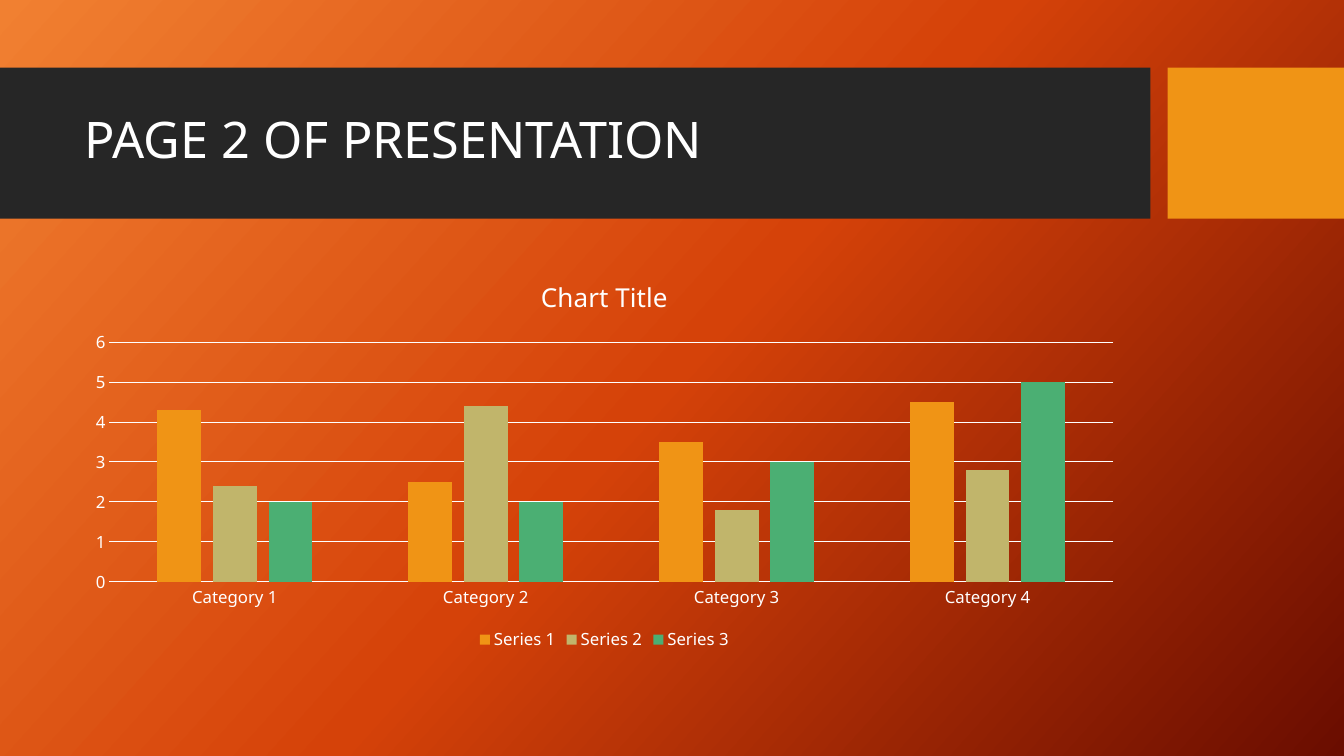
import copy

import pptx
import pptx.chart.data
import pptx.dml.color
import pptx.enum.chart
import pptx.enum.shapes
import pptx.enum.text
import pptx.oxml.ns
import pptx.util
from pptx.util import Inches

RGBColor = pptx.dml.color.RGBColor
WHITE = RGBColor(0xFF, 0xFF, 0xFF)
CHARCOAL = RGBColor(0x26, 0x26, 0x26)
AMBER = RGBColor(0xF0, 0x94, 0x15)
SAND = RGBColor(0xC1, 0xB5, 0x6B)
GREEN = RGBColor(0x4B, 0xAF, 0x73)
BACKGROUND_STOPS = [
    (0, RGBColor(0xF1, 0x80, 0x31)),
    (0.5, RGBColor(0xD5, 0x42, 0x09)),
    (1, RGBColor(0x6A, 0x0D, 0x00)),
]
FONT = "Noto Sans"

CATEGORIES = ["Category 1", "Category 2", "Category 3", "Category 4"]
SERIES = [
    ("Series 1", (4.3, 2.5, 3.5, 4.5), AMBER),
    ("Series 2", (2.4, 4.4, 1.8, 2.8), SAND),
    ("Series 3", (2, 2, 3, 5), GREEN),
]


def style_font(font, size):
    font.name = FONT
    font.size = pptx.util.Pt(size)
    font.bold = False
    font.color.rgb = WHITE


def style_line(line, color):
    line.color.rgb = color
    line.width = pptx.util.Pt(0.75)


def paint_background(slide):
    fill = slide.background.fill
    fill.gradient()
    fill.gradient_angle = 360 - 42
    # The default gradient has two stops; add a third
    stop_list = slide.element.find(".//" + pptx.oxml.ns.qn("a:gsLst"))
    stop_list.append(copy.deepcopy(stop_list[0]))
    for stop, (position, color) in zip(fill.gradient_stops, BACKGROUND_STOPS):
        stop.position = position
        stop.color.rgb = color


def add_block(slide, left, top, width, height, color):
    block = slide.shapes.add_shape(
        pptx.enum.shapes.MSO_SHAPE.RECTANGLE, left, top, width, height)
    block.shadow.inherit = False
    block.fill.solid()
    block.fill.fore_color.rgb = color
    block.line.fill.background()


def add_title_band(slide, left, top, width, height, title):
    # Dark band and accent block, separated by a narrow gap
    accent_width = Inches(1.75)
    band_width = width - accent_width - Inches(0.17)
    add_block(slide, left, top, band_width, height, CHARCOAL)
    add_block(slide, left + width - accent_width, top, accent_width, height, AMBER)

    # Title text
    text_box = slide.shapes.add_textbox(
        left + Inches(0.74), top + Inches(0.15), Inches(10.51), Inches(1.18))
    text_frame = text_box.text_frame
    text_frame.word_wrap = True
    text_frame.vertical_anchor = pptx.enum.text.MSO_ANCHOR.MIDDLE
    text_frame.text = title
    paragraph = text_frame.paragraphs[0]
    paragraph.line_spacing = 0.9
    style_font(paragraph.runs[0].font, 36)


def add_column_chart(slide, left, top, width, height):
    chart_data = pptx.chart.data.CategoryChartData()
    chart_data.categories = CATEGORIES
    for name, values, _ in SERIES:
        chart_data.add_series(name, values)
    chart = slide.shapes.add_chart(
        pptx.enum.chart.XL_CHART_TYPE.COLUMN_CLUSTERED,
        left, top, width, height, chart_data).chart
    style_font(chart.font, 10)

    # Title and legend
    chart.has_title = True
    title_frame = chart.chart_title.text_frame
    title_frame.text = "Chart Title"
    style_font(title_frame.paragraphs[0].runs[0].font, 18.6)
    chart.chart_title.include_in_layout = False
    chart.has_legend = True
    chart.legend.position = pptx.enum.chart.XL_LEGEND_POSITION.BOTTOM
    chart.legend.include_in_layout = False
    style_font(chart.legend.font, 12)

    # Columns
    plot = chart.plots[0]
    plot.vary_by_categories = False
    plot.gap_width = 219
    plot.overlap = -27
    for series, (_, _, color) in zip(plot.series, SERIES):
        series.format.fill.solid()
        series.format.fill.fore_color.rgb = color

    # Axes and gridlines
    for axis in (chart.category_axis, chart.value_axis):
        axis.major_tick_mark = pptx.enum.chart.XL_TICK_MARK.NONE
        axis.minor_tick_mark = pptx.enum.chart.XL_TICK_MARK.NONE
        style_font(axis.tick_labels.font, 12)
    style_line(chart.category_axis.format.line, WHITE)
    chart.value_axis.format.line.fill.background()
    chart.value_axis.minimum_scale = 0
    chart.value_axis.maximum_scale = 6
    chart.value_axis.major_unit = 1
    chart.value_axis.has_major_gridlines = True
    style_line(chart.value_axis.major_gridlines.format.line, WHITE)


presentation = pptx.Presentation()
presentation.slide_width = Inches(13.33)
presentation.slide_height = Inches(7.5)
slide = presentation.slides.add_slide(presentation.slide_layouts[6])

paint_background(slide)
add_title_band(slide, 0, Inches(0.67), presentation.slide_width, Inches(1.5),
               "PAGE 2 OF PRESENTATION")
add_column_chart(slide, Inches(0.74), Inches(2.56), Inches(10.51), Inches(3.94))

presentation.save("out.pptx")
